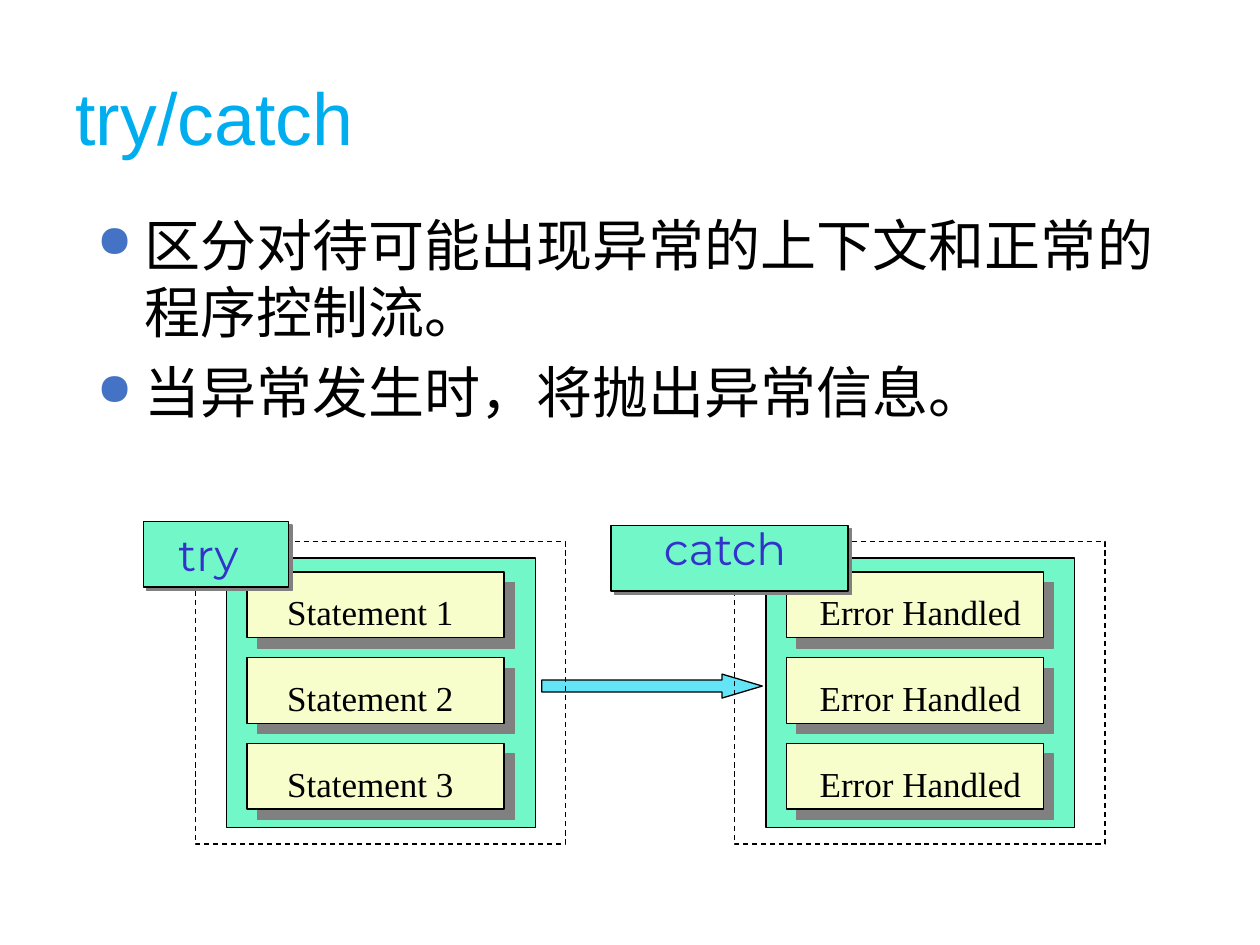
"""Build the try/catch slide."""
from lxml.etree import SubElement
from pptx import Presentation
from pptx.dml.color import RGBColor
from pptx.enum.dml import MSO_LINE
from pptx.enum.shapes import MSO_SHAPE
from pptx.enum.text import MSO_ANCHOR, PP_ALIGN
from pptx.oxml.ns import qn
from pptx.util import Inches, Pt

COLORS = {
    "title": "00ADEF",
    "ink": "000000",
    "label": "3333CC",
    "mint": "72F8C8",
    "cream": "F7FDCB",
    "arrow": "63E5F7",
    "shade": "808080",
    "bullet": "4472C4",
}
FONTS = {
    "title": {"name": "Arial", "size": Pt(42)},
    "body": {"name": "Arial", "size": Pt(32)},
    "card": {"name": "Times New Roman", "size": Pt(20)},
    "label": {"name": "Montserrat", "size": Pt(25.2)},
}
POINTS = [
    "区分对待可能出现异常的上下文和正常的程序控制流。",
    "当异常发生时，将抛出异常信息。",
]


def color(key):
    """Return the named colour."""
    return RGBColor.from_string(COLORS[key])


def add(parent, tag, **attrs):
    """Append a drawing element and return it."""
    return SubElement(parent, qn(tag), {k: str(v) for k, v in attrs.items()})


class Deck:
    """Holds the style and the current slide."""

    def __init__(self):
        self.deck = Presentation()
        self.deck.slide_width = Inches(10)
        self.deck.slide_height = Inches(7.5)
        self.slide = self.deck.slides.add_slide(self.deck.slide_layouts[5])

    def style(self, para, font, ink, **form):
        """Set the font and format of a paragraph."""
        for key, value in form.items():
            setattr(para, key, value)
        for key, value in FONTS[font].items():
            setattr(para.font, key, value)
        para.font.color.rgb = color(ink)

    def title(self, text, *box):
        """Fill and place the title."""
        shape = self.slide.shapes.title
        for key, value in zip(("left", "top", "width", "height"), box):
            setattr(shape, key, Inches(value))
        shape.text_frame.text = text
        shape.text_frame.vertical_anchor = MSO_ANCHOR.MIDDLE
        self.style(shape.text_frame.paragraphs[0], "title", "title", alignment=PP_ALIGN.LEFT)

    def shape(self, kind, box, fill=None, dash=None, depth=0):
        """Add an outlined shape, with a hard shadow if depth is given."""
        shape = self.slide.shapes.add_shape(kind, *map(Inches, box))
        shape.shadow.inherit = False
        if fill:
            shape.fill.solid()
            shape.fill.fore_color.rgb = color(fill)
        else:
            shape.fill.background()
        shape.line.color.rgb = color("ink")
        shape.line.width = Pt(0.75)
        shape.line.dash_style = dash
        if depth:
            effects = shape._element.spPr.find(qn("a:effectLst"))
            shadow = add(effects, "a:outerShdw", blurRad=0, dist=Pt(depth),
                         dir=45 * 60000, algn="ctr", rotWithShape=0)
            add(shadow, "a:srgbClr", val=COLORS["shade"])
        return shape

    def text(self, text, box, font, ink, wrap=True, **form):
        """Add a centred line of text."""
        frame = self.slide.shapes.add_textbox(*map(Inches, box)).text_frame
        frame.word_wrap = wrap
        frame.text = text
        self.style(frame.paragraphs[0], font, ink, alignment=PP_ALIGN.CENTER, **form)

    def points(self, lines, *box):
        """Add a bulleted list."""
        frame = self.slide.shapes.add_textbox(*map(Inches, box)).text_frame
        frame.word_wrap = True
        frame.text = "\n".join(lines)
        for i, para in enumerate(frame.paragraphs):
            props = para._p.get_or_add_pPr()
            props.set("marL", str(Inches(0.38)))
            props.set("indent", str(Inches(-0.38)))
            add(add(props, "a:buClr"), "a:srgbClr", val=COLORS["bullet"])
            add(props, "a:buSzPct", val=80000)
            add(props, "a:buChar", char="●")
            self.style(para, "body", "ink", space_before=Pt(7.5 if i else 0))

    def block(self, left, cards, inset, width):
        """Add a dashed frame with a panel of stacked cards."""
        rect = MSO_SHAPE.RECTANGLE
        self.shape(rect, (left, 4.3, 2.94, 2.4), dash=MSO_LINE.DASH)
        self.shape(rect, (left + 0.25, 4.43, 2.45, 2.14), "mint")
        for i, card in enumerate(cards):
            top = 4.54 + 0.68 * i
            self.shape(rect, (left + 0.41, top, 2.04, 0.52), "cream", depth=8.5)
            self.text(card, (left + inset, top + 0.1, width, 0.44), "card", "ink")

    def label(self, text, box, area):
        """Add a keyword tag."""
        self.shape(MSO_SHAPE.RECTANGLE, box, "mint", depth=2.8)
        self.text(text, area, "label", "label", wrap=False, line_spacing=0.8)

    def arrow(self, *box):
        """Add a long block arrow."""
        shape = self.shape(MSO_SHAPE.RIGHT_ARROW, box, "arrow")
        shape.adjustments[0] = 0.5
        shape.adjustments[1] = 1.68


def main():
    """Draw the slide and save it."""
    deck = Deck()
    deck.title("try/catch", 0.5, 0.3, 9, 1.25)
    deck.arrow(4.3, 5.35, 1.75, 0.19)
    deck.block(1.55, [f"Statement {n}" for n in (1, 2, 3)], 0.49, 1.8)
    deck.label("try", (1.14, 4.14, 1.15, 0.52), (1.22, 4.22, 0.87, 0.44))
    deck.block(5.83, ["Error Handled"] * 3, 0.41, 2.13)
    deck.label("catch", (4.85, 4.17, 1.88, 0.52), (5.02, 4.17, 1.47, 0.47))
    deck.points(POINTS, 0.67, 1.62, 9, 4.95)
    deck.deck.save("out.pptx")


if __name__ == "__main__":
    main()
